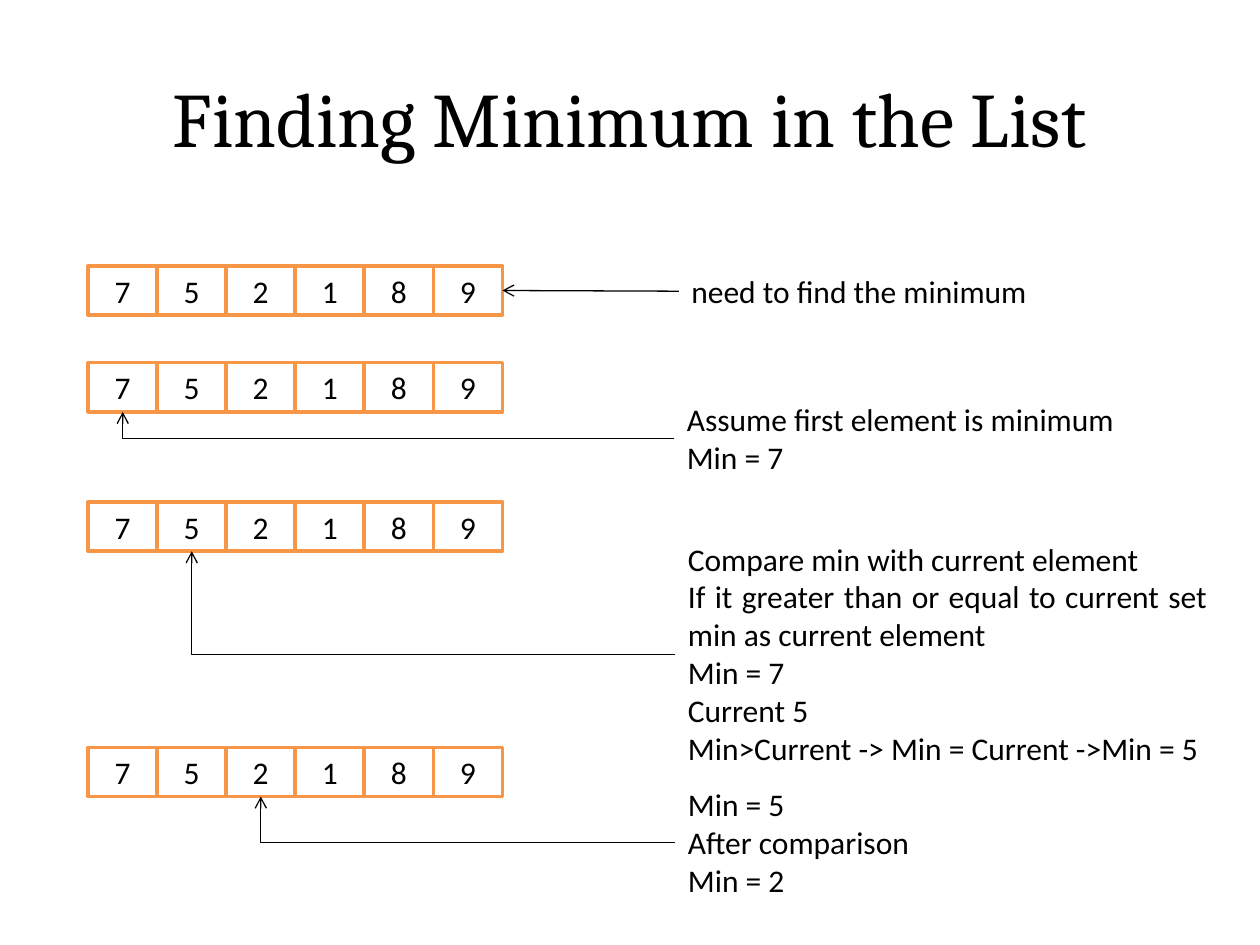
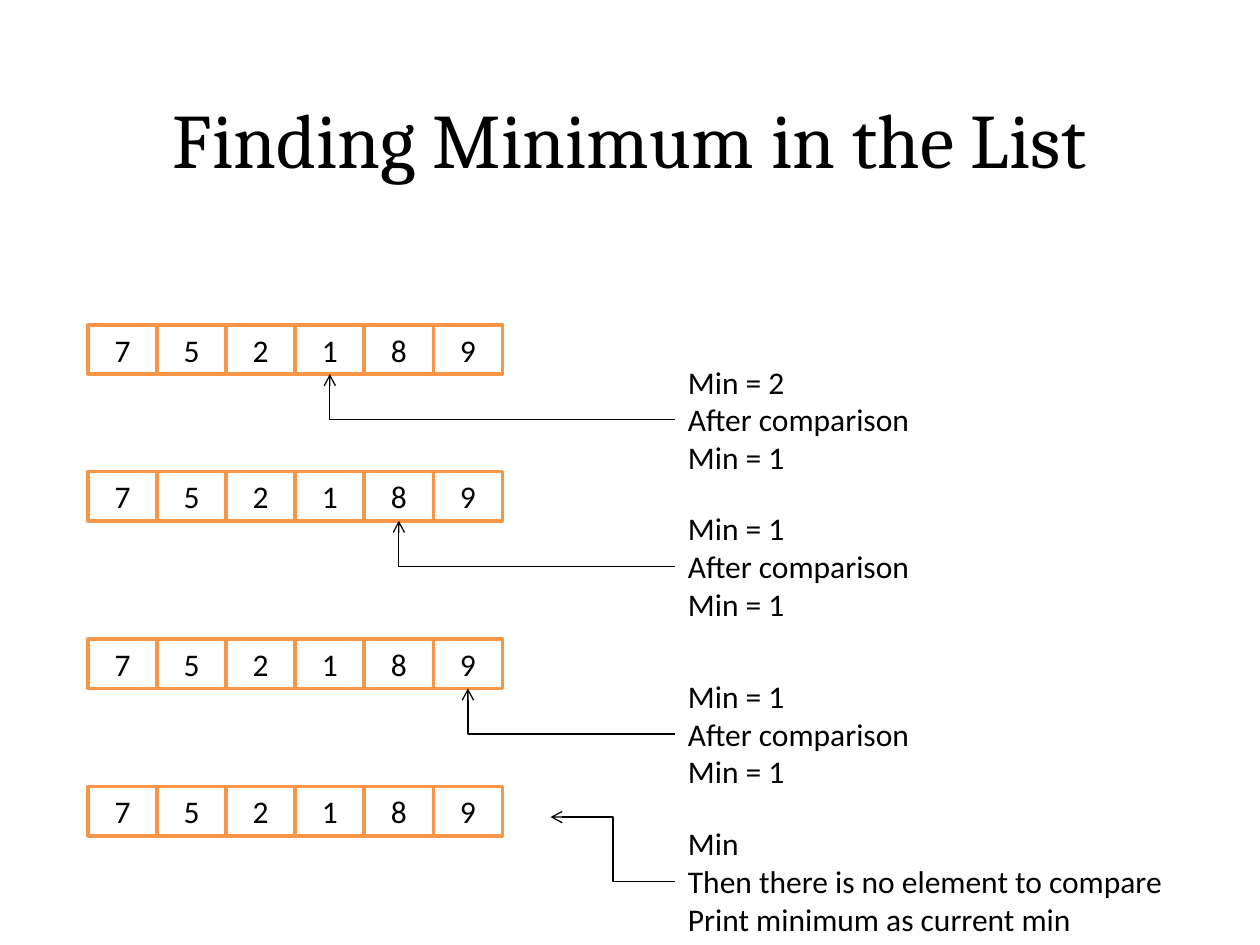
from lxml import etree
from pptx import Presentation
from pptx.dml.color import RGBColor
from pptx.enum.shapes import MSO_CONNECTOR, MSO_SHAPE
from pptx.enum.text import MSO_ANCHOR, MSO_AUTO_SIZE, PP_ALIGN
from pptx.oxml.ns import qn
from pptx.util import Pt

STRAIGHT, ELBOW = MSO_CONNECTOR.STRAIGHT, MSO_CONNECTOR.ELBOW
RECTANGLE = MSO_SHAPE.RECTANGLE
MIDDLE, TOP = MSO_ANCHOR.MIDDLE, MSO_ANCHOR.TOP
CENTER, LEFT, JUSTIFY = PP_ALIGN.CENTER, PP_ALIGN.LEFT, PP_ALIGN.JUSTIFY
FIT_SHAPE = MSO_AUTO_SIZE.SHAPE_TO_FIT_TEXT

# Shared geometry, in points
LIST_LEFT, CELL_WIDTH, CELL_HEIGHT = 50.4, 39.45, 28.2
NOTE_LEFT, NOTE_WIDTH, NOTE_DROP = 386, 311, 18
LINE_HEIGHT, NOTE_PADDING = 21.8, 7.2
NUMBERS = [7, 5, 2, 1, 8, 9]
TITLE = "Finding Minimum in the List"


def color(hex_string):
    return RGBColor.from_string(hex_string)


class Deck:
    """Holds the style and the slide being built."""
    ink, paper, orange = "000000", "FFFFFF", "F79646"
    title_style = {"name": "Cambria", "size": Pt(44)}
    body_style = {"name": "Calibri", "size": Pt(18)}

    def __init__(self):
        self.prs = Presentation()
        self.prs.slide_width, self.prs.slide_height = Pt(720), Pt(540)

    def new_slide(self, title_top):
        self.slide = self.prs.slides.add_slide(self.prs.slide_layouts[6])
        title = self.slide.shapes.add_textbox(Pt(36), Pt(title_top), Pt(648), Pt(90))
        self.set_text(title, [TITLE], self.title_style, CENTER, MIDDLE)

    def set_text(self, shape, lines, style, align, anchor, wrap=True):
        frame = shape.text_frame
        frame.word_wrap, frame.vertical_anchor = wrap, anchor
        frame.text = "\n".join(lines)
        for paragraph in frame.paragraphs:
            paragraph.alignment = align
            font = paragraph.runs[0].font
            font.color.rgb = color(self.ink)
            for key, value in style.items():
                setattr(font, key, value)

    def number_list(self, top):
        cells = self.slide.shapes.add_group_shape().shapes
        for i, number in enumerate(NUMBERS):
            cell = cells.add_shape(RECTANGLE, Pt(LIST_LEFT + i * CELL_WIDTH), Pt(top),
                                   Pt(CELL_WIDTH), Pt(CELL_HEIGHT))
            cell.shadow.inherit = False
            cell.fill.solid()
            cell.fill.fore_color.rgb = color(self.paper)
            cell.line.color.rgb = color(self.orange)
            cell.line.width = Pt(2)
            self.set_text(cell, [str(number)], self.body_style, CENTER, MIDDLE)

    def note(self, lines, left, top, width, height, align, wrap):
        box = self.slide.shapes.add_textbox(Pt(left), Pt(top), Pt(width), Pt(height))
        self.set_text(box, lines, self.body_style, align, TOP, wrap)
        box.text_frame.auto_size = FIT_SHAPE

    def arrow(self, kind, start, end, preset=None):
        """Elbows are laid out from end to start, then turned by 180 degrees."""
        first, last = (end, start) if preset else (start, end)
        arrow = self.slide.shapes.add_connector(
            kind, Pt(first[0]), Pt(first[1]), Pt(last[0]), Pt(last[1]))
        arrow.line.color.rgb = color(self.ink)
        arrow.line.width = Pt(0.75)
        properties = arrow.element.find(qn("p:spPr"))
        if preset:
            properties.find(qn("a:xfrm")).set("rot", "10800000")
            properties.find(qn("a:prstGeom")).set("prst", preset)
        tip = etree.SubElement(properties.find(qn("a:ln")), qn("a:tailEnd"))
        tip.set("type", "arrow")
        etree.SubElement(properties, qn("a:effectLst"))

    def step(self, top, target, lines, left=NOTE_LEFT, width=NOTE_WIDTH,
             drop=NOTE_DROP, align=JUSTIFY, wrap=True, line_count=None):
        """A list, its note, and an arrow to a cell index, "side" or "gap"."""
        height = NOTE_PADDING + LINE_HEIGHT * (line_count or len(lines))
        self.number_list(top)
        self.note(lines, left, top + drop, width, height, align, wrap)
        start = (left, top + drop + height / 2)
        if target == "side":
            right = LIST_LEFT + len(NUMBERS) * CELL_WIDTH
            self.arrow(STRAIGHT, start, (right, top + CELL_HEIGHT / 2))
        elif target == "gap":
            self.arrow(ELBOW, start, (314.6, top + 17.5), "bentConnector3")
        else:
            center = LIST_LEFT + (target + 0.5) * CELL_WIDTH
            self.arrow(ELBOW, start, (center, top + CELL_HEIGHT), "bentConnector2")


def comparison(before, after):
    return [f"Min = {before}", "After comparison", f"Min = {after}"]


deck = Deck()

# Slide 1: the first comparisons
deck.new_slide(21.6)
deck.step(151.9, "side", ["need to find the minimum"], left=388, width=209,
          drop=0, align=LEFT, wrap=False)
deck.step(207.2, 0, ["Assume first element is minimum", "Min = 7"],
          left=385.4, width=261.4, align=LEFT, wrap=False)
deck.step(286.8, 1, ["Compare min with current element",
                     "If it greater than or equal to current set min as current element",
                     "Min = 7", "Current 5",
                     "Min>Current -> Min = Current ->Min = 5"], line_count=6)
deck.step(427, 2, comparison(5, 2))

# Slide 2: the remaining comparisons and the result
deck.new_slide(33.8)
deck.step(185.6, 3, comparison(2, 1))
deck.step(269.4, 4, comparison(1, 1))
deck.step(365.2, 5, comparison(1, 1))
deck.step(449.4, "gap", ["Min", "Then there is no element to compare",
                         "Print minimum as current min"])

deck.prs.save("out.pptx")
